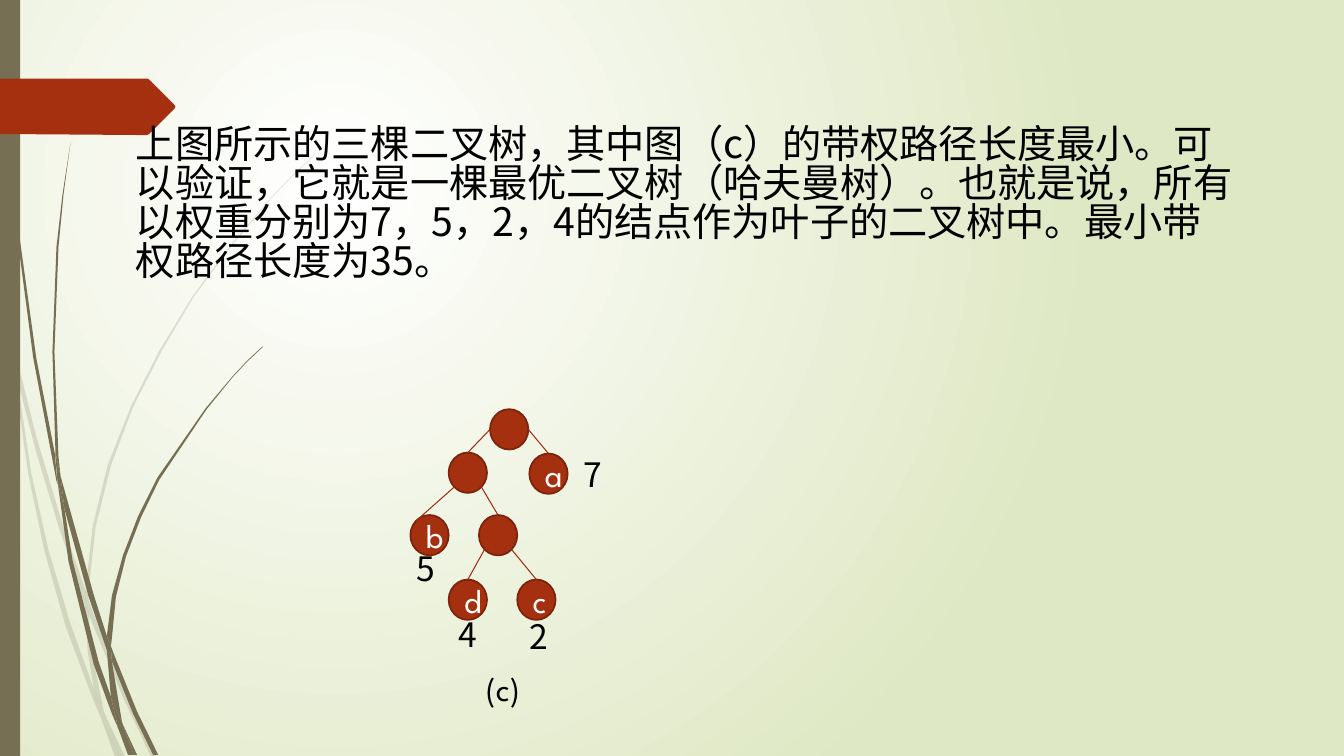
import math

from lxml import etree
from pptx import Presentation
from pptx import util as u
from pptx.dml.color import RGBColor
from pptx.enum import shapes, text
from pptx.oxml.ns import qn

PX = 9144  # EMU in one px, 100 px to the inch
OLIVE, RUST, RUST_EDGE, RUST_LINE = "766F54", "A53010", "7A240C", "9E2E0F"
BLACK, WHITE = "000000", "FFFFFF"
CJK, LATIN = "Noto Sans CJK SC", "League Spartan"
NODE_W, NODE_H = 38, 40

# Outlines of the grass blades, as x,y pairs in px
PALE_GRASS = [
    "11,350 9,322 0,282 0,299 10,344",
    "58,522 84,599 85,586 62,520 36,433 14,345 17,376 36,449",
    "92,607 88,596 88,610 123,694 150,751 155,751 127,692",
    "119,751 124,751 105,711",
    "93,683 70,619 48,545 31,469 17,376 11,350 28,470 44,546 65,621 92,693 101,714 99,707",
    "84,599 87,646 93,683 96,692 105,711 103,706 91,646 88,610 88,608",
    "88,584 95,522 110,462 132,404 160,349 192,295 229,245 268,198 290,175 312,154 "
    "312,153 289,175 268,197 228,244 191,294 158,348 130,403 107,461 92,522 85,584 "
    "85,586 88,596",
    "101,714 114,751 119,751",
    "88,608 88,610 88,596 85,586 84,599",
    "96,692 93,683 99,707 101,714 119,751 105,711",
]
DARK_GRASS = [
    "7,110 17,233 33,355 56,477 57,481 55,457 55,453 36,355 19,232 8,109 5,48 4,0 3,0 4,48",
    "88,592 106,645 106,633 106,631 93,590 60,472 64,505",
    "113,649 110,641 111,656 132,708 152,749 157,749 136,706",
    "110,691 98,657 72,556 64,505 57,477 68,557 93,659 111,708 117,722 116,717",
    "60,472 58,453 54,349 58,245 63,193 70,141 62,193 56,245 52,349 55,449",
    "133,749 136,749 122,719",
    "57,477 64,505 60,472 55,449 55,453",
    "111,633 115,592 125,552 140,513 158,476 205,406 231,374 245,359 261,344 260,344 "
    "245,358 231,373 204,405 156,474 137,512 122,551 111,591 106,631 110,641",
    "117,722 127,749 131,749",
    "106,645 110,691 116,706 122,719 121,716 111,656 109,651",
    "106,645 109,651 111,656 110,641 106,631 106,633",
    "116,706 110,691 116,717 117,722 130,749 133,749 122,719",
]
BANNER = "173,108 148,133 146,134 136,134 0,133 0,78 136,78 146,78 148,79 173,104 174,106"

# Tree nodes: left, top, letter
NODES = {
    "root": (486, 406, ""), "branch": (445, 449, ""), "a": (525, 450, "a"),
    "b": (407, 511, "b"), "fork": (475, 511, ""),
    "d": (445, 575, "d"), "c": (513, 575, "c"),
}
# Parent, its site, child, its site; sites run anticlockwise from the top in eighths
EDGES = [
    ("root", 2, "branch", 0), ("root", 6, "a", 0), ("branch", 3, "b", 1),
    ("branch", 5, "fork", 0), ("fork", 3, "d", 0), ("fork", 5, "c", 0),
]
WEIGHTS = [("7", 569, 452), ("5", 403, 545), ("4", 445, 611), ("2", 515, 613)]


def color(value):
    return RGBColor.from_string(value)


def px(*lengths):
    return [u.Emu(round(length * PX)) for length in lengths]


def write(frame, words, size=24, font=CJK, ink=BLACK, align=None, spacing=None):
    para = frame.paragraphs[0]
    para.alignment = align
    para.line_spacing = spacing
    span = para.add_run()
    span.text = words
    span.font.size = u.Pt(size)
    span.font.name = font
    span.font.color.rgb = color(ink)
    east_asian = etree.SubElement(span.font._element, qn("a:ea"))
    east_asian.set("typeface", font)


class Painter:
    def __init__(self, deck):
        self.page = deck.slides.add_slide(deck.slide_layouts[6])

    def background(self, inner, outer):
        fill = self.page.background.fill
        fill.gradient()
        for stop, value, position in zip(fill.gradient_stops, (inner, outer), (0, 1)):
            stop.color.rgb = color(value)
            stop.position = position
        gradient = self.page._element.find(".//" + qn("a:gradFill"))
        gradient.remove(gradient.find(qn("a:lin")))
        circle = etree.SubElement(gradient, qn("a:path"), path="circle")
        etree.SubElement(circle, qn("a:fillToRect"),
                         l="50000", t="50000", r="100000", b="100000")

    def paint(self, shape, fill, line=None, width=1.25, opacity=100):
        shape.shadow.inherit = False
        shape.fill.solid()
        shape.fill.fore_color.rgb = color(fill)
        if opacity < 100:
            tint = shape._element.spPr.find(".//" + qn("a:srgbClr"))
            etree.SubElement(tint, qn("a:alpha"), val=str(opacity * 1000))
        if line:
            shape.line.color.rgb = color(line)
            shape.line.width = u.Pt(width)
        else:
            shape.line.fill.background()
        return shape

    def outline(self, points, fill, opacity=100, parent=None):
        corners = [tuple(map(int, pair.split(","))) for pair in points.split()]
        builder = (parent or self.page).shapes.build_freeform(*corners[0], scale=PX)
        builder.add_line_segments(corners[1:], close=True)
        return self.paint(builder.convert_to_shape(), fill, opacity=opacity)

    def grass(self, blades, opacity):
        clump = self.page.shapes.add_group_shape()
        for blade in blades:
            self.outline(blade, OLIVE, opacity, clump)

    def preset(self, kind, left, top, width, height, fill, line=None):
        shape = self.page.shapes.add_shape(kind, *px(left, top, width, height))
        return self.paint(shape, fill, line)

    def node(self, left, top, letter):
        oval = self.preset(shapes.MSO_SHAPE.OVAL, left, top, NODE_W, NODE_H, RUST, RUST_EDGE)
        if letter:
            oval.text_frame.vertical_anchor = text.MSO_ANCHOR.MIDDLE
            write(oval.text_frame, letter, font=LATIN, ink=WHITE, align=text.PP_ALIGN.CENTER)
        return oval

    def edge(self, start, end, child=None):
        line = self.page.shapes.add_connector(
            shapes.MSO_CONNECTOR.STRAIGHT, *px(*start, *end))
        line.line.color.rgb = color(RUST_LINE)
        line.line.width = u.Pt(0.75)
        etree.SubElement(line._element.spPr, qn("a:effectLst"))
        if child is not None:
            line.end_connect(child, 0)

    def label(self, words, left, top, width, height, **style):
        box = self.page.shapes.add_textbox(*px(left, top, width, height))
        box.text_frame.word_wrap = True
        write(box.text_frame, words, **style)


def site(name, eighth):
    left, top, _ = NODES[name]
    angle = math.radians(90 + 45 * eighth)
    return (left + NODE_W / 2 * (1 + math.cos(angle)),
            top + NODE_H / 2 * (1 - math.sin(angle)))


def main():
    deck = Presentation()
    deck.slide_width, deck.slide_height = px(1333, 750)
    painter = Painter(deck)

    # Backdrop
    painter.background(WHITE, "DFE8C4")
    painter.grass(PALE_GRASS, 20)
    painter.grass(DARK_GRASS, 100)
    painter.preset(shapes.MSO_SHAPE.RECTANGLE, 0, 0, 20, 750, OLIVE)
    painter.outline(BANNER, RUST)

    # Explanation
    painter.label(
        "上图所示的三棵二叉树，其中图（c）的带权路径长度最小。可以验证，它就是一棵最优二叉树"
        "（哈夫曼树）。也就是说，所有以权重分别为7，5，2，4的结点作为叶子的二叉树中。"
        "最小带权路径长度为35。",
        125, 121, 1111, 199, size=28, spacing=0.83)

    # Huffman tree
    ovals = {name: painter.node(*spot) for name, spot in NODES.items()}
    for parent, start, child, end in EDGES:
        painter.edge(site(parent, start), site(child, end),
                     ovals[child] if end == 0 else None)

    # Weights and caption
    for weight, left, top in WEIGHTS:
        painter.label(weight, left, top, 41, 50, spacing=0.83)
    painter.label("(c)", 472, 658, 72, 50, font=LATIN)

    deck.save("out.pptx")


if __name__ == "__main__":
    main()
